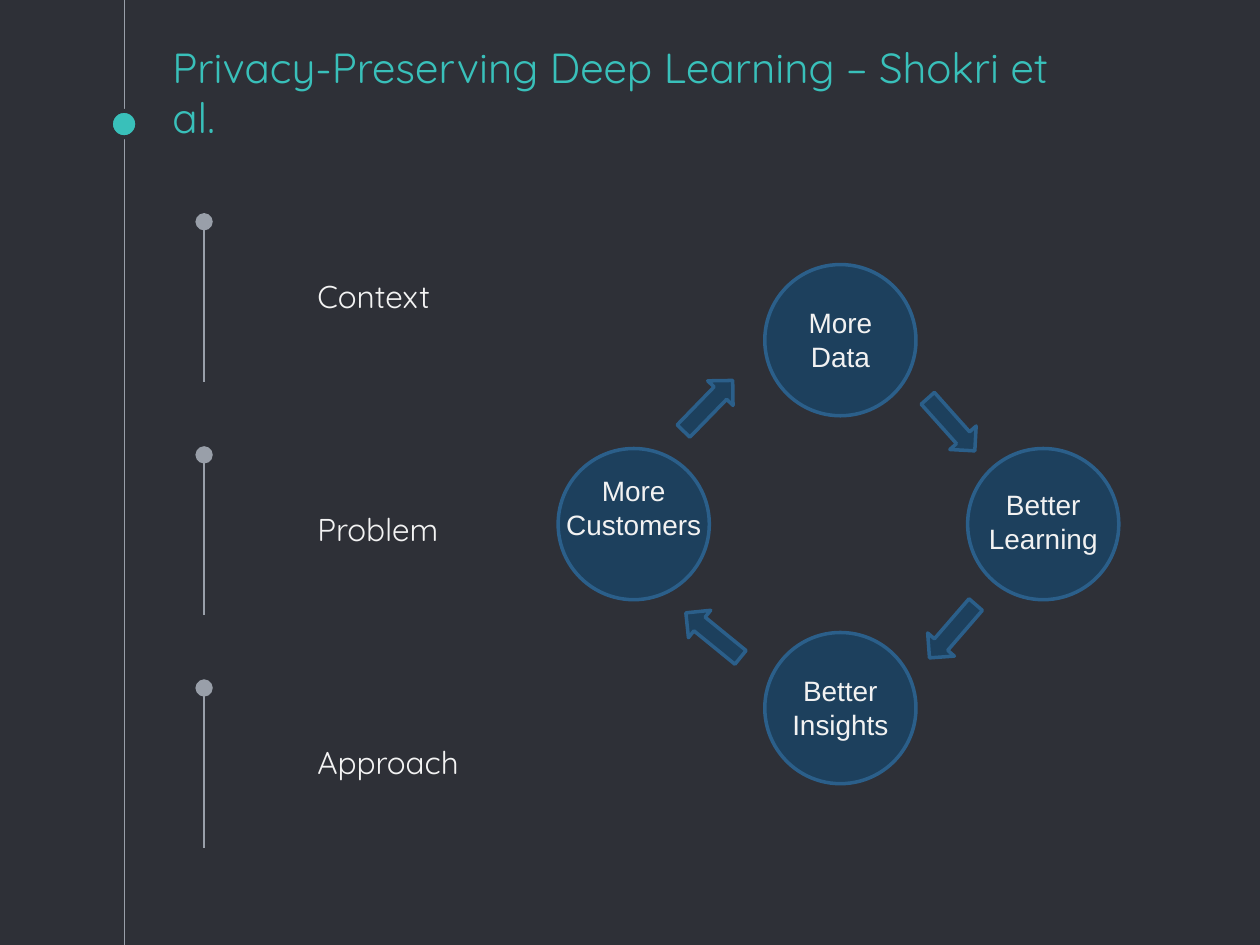
from lxml.etree import SubElement
from pptx import Presentation
from pptx.dml.color import RGBColor
from pptx.enum.shapes import MSO_CONNECTOR as Connector, MSO_SHAPE as Shape
from pptx.enum.text import MSO_ANCHOR as Anchor, PP_ALIGN as Align
from pptx.oxml.ns import qn
from pptx.util import Inches, Pt

COLORS = {"background": "2E3037", "accent": "39C0BA", "rail": "999FA9",
          "topic": "F3F3F3", "label": "F2F2F2", "node": "1D405D", "edge": "2B5F8A"}
STEPS = [("More", "Data", 0), ("Better", "Learning", -0.02),
         ("Better", "Insights", 0), ("More", "Customers", -0.13)]
TURNS = [48.2, 130.9, 219.2, 314.2]


def rgb(name):
    """Return the named colour."""
    return RGBColor.from_string(COLORS[name])


def apply(target, formats):
    """Set each attribute in formats on target."""
    for attribute, value in formats.items():
        setattr(target, attribute, value)


def add_text(slide, box, lines, font, color, inset=0.1, align=Align.LEFT, anchor=Anchor.TOP):
    """Place lines of text in box, one paragraph each."""
    frame = slide.shapes.add_textbox(*map(Inches, box)).text_frame
    apply(frame, {"word_wrap": True, "vertical_anchor": anchor,
                  "margin_left": Inches(0.1), "margin_right": Inches(0.1),
                  "margin_top": Inches(inset), "margin_bottom": Inches(inset)})
    frame.text = "\n".join(lines)
    for paragraph in frame.paragraphs:
        paragraph.alignment = align
        apply(paragraph.runs[0].font, font)
        paragraph.runs[0].font.color.rgb = rgb(color)


def add_solid(slide, kind, box, fill, edge, width, rotation=0):
    """Place a filled and outlined preset shape in box."""
    solid = slide.shapes.add_shape(kind, *map(Inches, box))
    solid.rotation = rotation
    solid.shadow.inherit = False
    solid.fill.solid()
    solid.fill.fore_color.rgb = rgb(fill)
    solid.line.color.rgb = rgb(edge)
    solid.line.width = Pt(width)


def add_rail(slide, x, start, end, dotted=False):
    """Draw a vertical line, with a dot at its end if dotted."""
    rail = slide.shapes.add_connector(Connector.STRAIGHT, *map(Inches, (x, start, x, end)))
    rail.line.color.rgb = rgb("rail")
    rail.line.width = Pt(0.75)
    if dotted:
        SubElement(rail.line._get_or_add_ln(), qn("a:tailEnd"), type="oval", w="lg", len="lg")
    SubElement(rail._element.spPr, qn("a:effectLst"))


def add_header(slide, box):
    """Place the title beside the full-height rail and its dot."""
    left, top, _, _ = box
    add_rail(slide, left - 0.28, -0.01, 7.5)
    add_solid(slide, Shape.OVAL, (left - 0.39, top + 0.15, 0.21, 0.21),
              "accent", "background", 2.25)
    add_text(slide, box, ["Privacy-Preserving Deep Learning – Shokri et al."],
             {"name": "Quicksand", "size": Pt(24)}, "accent", anchor=Anchor.BOTTOM)


def add_topics(slide, box):
    """Stack the topics evenly, each beside a dotted rail."""
    left, top, width, height = box
    rail_length = 1.27
    pitch = (height - rail_length) / 2
    for row, topic in enumerate(["Context", "Problem", "Approach"]):
        y = top + row * pitch
        add_rail(slide, left, y + rail_length, y, dotted=True)
        add_text(slide, (left + 0.8, y + 0.34, width - 0.8, 0.42), [topic],
                 {"name": "Quicksand", "size": Pt(18)}, "topic")


def add_cycle(slide, box):
    """Place four circles at the sides of box, with arrows clockwise between them."""
    left, top, width, height = box
    size = 1.2
    middle_x, middle_y = left + 1.64, top + (height - size) / 2
    corners = [(middle_x, top), (left + width - size, middle_y),
               (middle_x, top + height - size), (left, middle_y)]
    arrows = [(2.84, 1.13), (2.85, 2.77), (0.95, 2.8), (0.91, 0.98)]
    for x, y in corners:
        add_solid(slide, Shape.OVAL, (x, y, size, size), "node", "edge", 2)
    for (x, y), turn in zip(arrows, TURNS):
        add_solid(slide, Shape.RIGHT_ARROW, (left + x, top + y, 0.56, 0.28),
                  "node", "edge", 2, turn)
    for (x, y), (first, second, shift) in zip(corners, STEPS):
        add_text(slide, (x - 0.08, y + 0.28 + shift, size + 0.16, 0.64), [first, second],
                 {"name": "Arial", "size": Pt(16)}, "label", inset=0.05, align=Align.CENTER)


def main():
    """Build the slide and save it."""
    deck = Presentation()
    apply(deck, {"slide_width": Inches(10), "slide_height": Inches(7.5)})
    slide = deck.slides.add_slide(deck.slide_layouts[6])
    slide.background.fill.solid()
    slide.background.fill.fore_color.rgb = rgb("background")
    add_header(slide, (1.27, 0.73, 7.5, 0.5))
    add_topics(slide, (1.62, 1.76, 3.33, 4.97))
    add_cycle(slide, (4.43, 2.1, 4.45, 4.12))
    deck.save("out.pptx")


if __name__ == "__main__":
    main()
